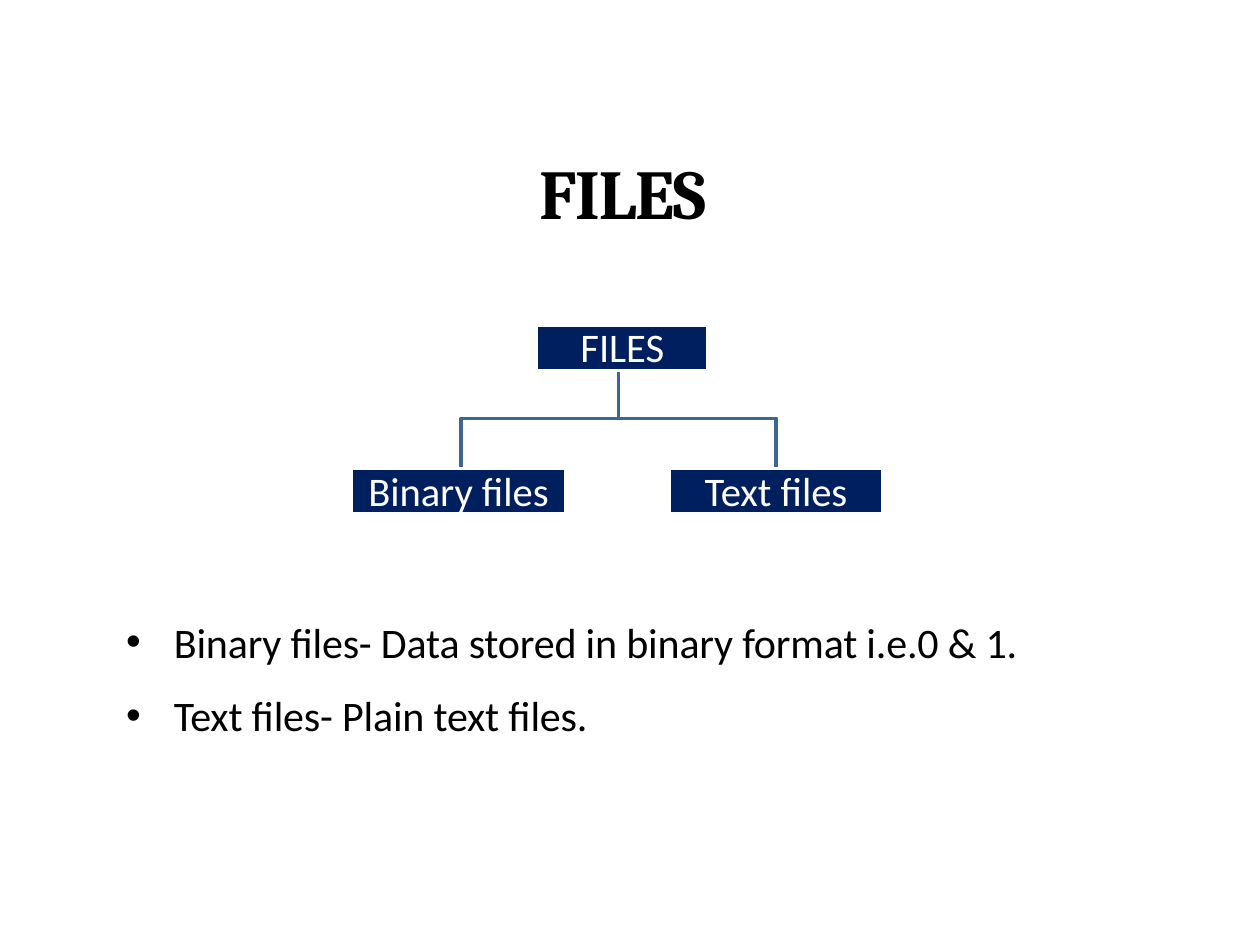
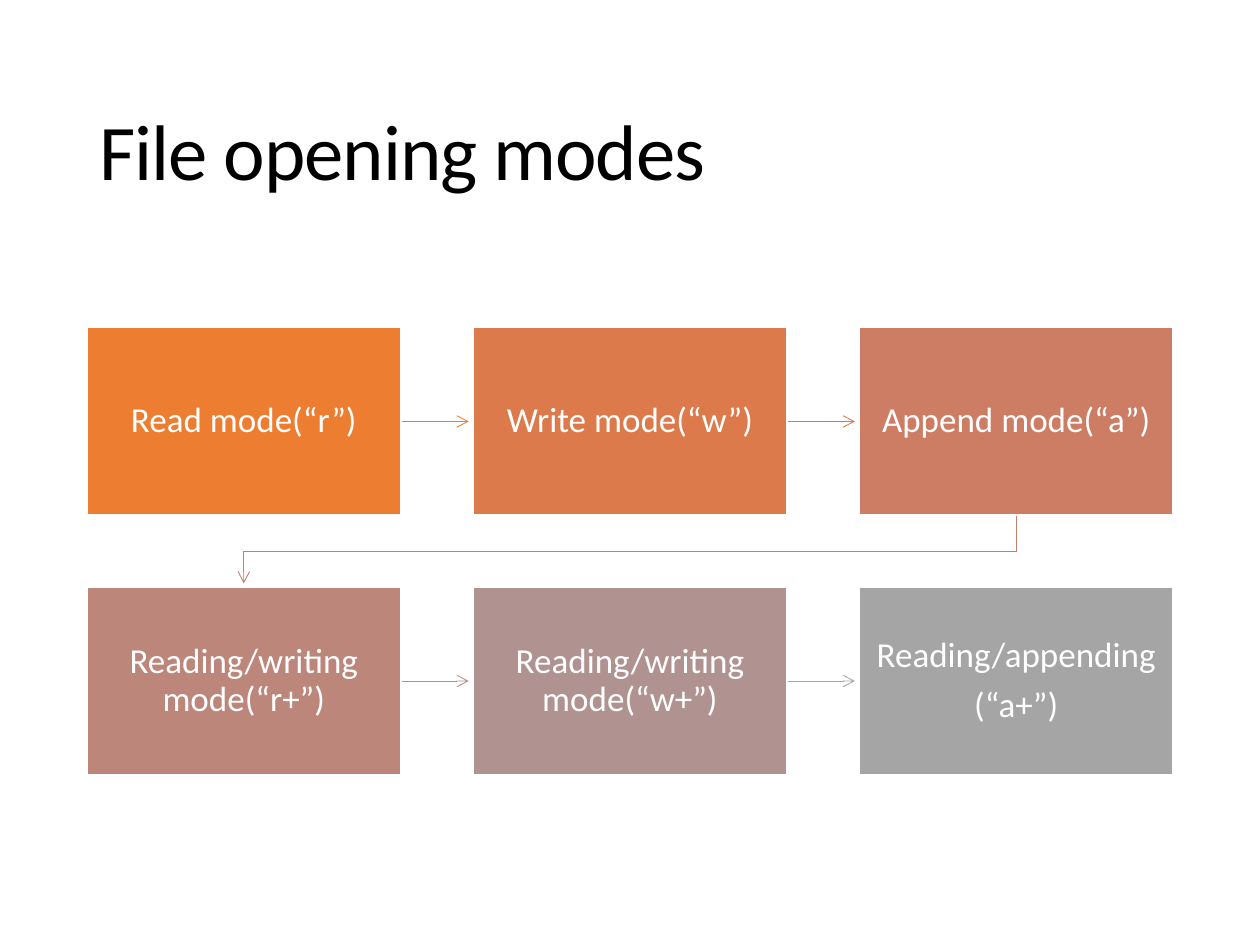
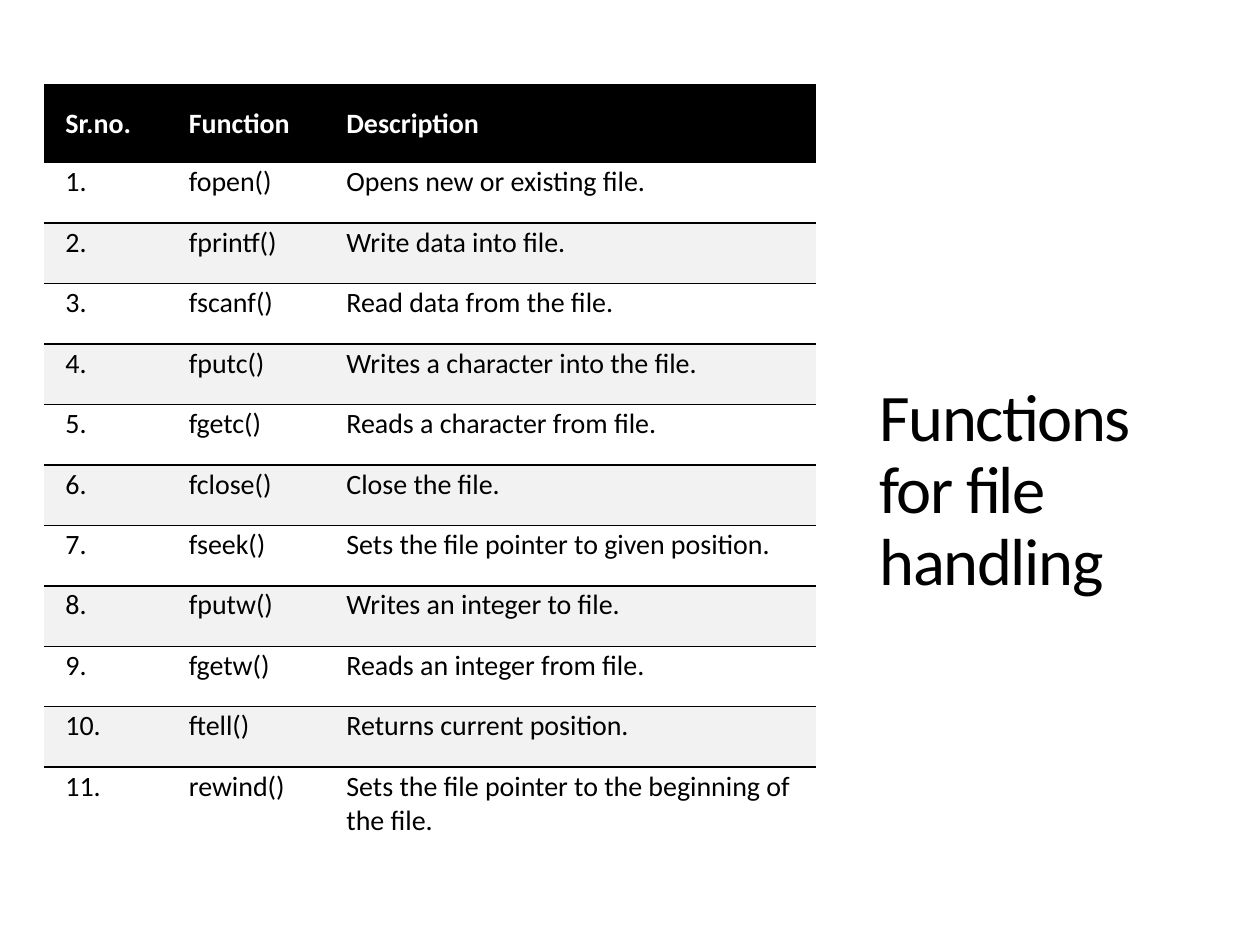
from pptx import Presentation
from pptx.dml.color import RGBColor
from pptx.enum import shapes, text
from pptx.oxml import ns, xmlchemy
from pptx.util import Inches, Pt

BLACK = RGBColor(0x00, 0x00, 0x00)
WHITE = RGBColor(0xFF, 0xFF, 0xFF)
NAVY = RGBColor(0x00, 0x1F, 0x5F)
TREE_LINE = RGBColor(0x3C, 0x66, 0x95)
BAND = RGBColor(0xF2, 0xF2, 0xF2)
NO_TABLE_STYLE = "{2D5ABB26-0587-4C30-8999-92F81FD0307C}"
TITLE_AND_BODY, TITLE_ONLY = 1, 5

LEFT, CENTER, JUSTIFY = text.PP_ALIGN.LEFT, text.PP_ALIGN.CENTER, text.PP_ALIGN.JUSTIFY
TOP, MIDDLE, BOTTOM = (text.MSO_ANCHOR.TOP, text.MSO_ANCHOR.MIDDLE,
                       text.MSO_ANCHOR.BOTTOM)

# Each mode: label paragraphs, box colour, colour of the arrow that leaves it
MODES = [
    (["Read mode(“r”)"], "ED7D31", "ED7D31"),
    (["Write mode(“w”)"], "DC7A4B", "D87A51"),
    (["Append mode(“a”)"], "CC7D64", "C48170"),
    (["Reading/writing mode(“r+”)"], "BD867B", "B4908B"),
    (["Reading/writing mode(“w+”)"], "B09391", "A5A5A5"),
    (["Reading/appending", "(“a+”)"], "A5A5A5", None),
]

FUNCTIONS = [
    ("fopen()", "Opens new or existing file."),
    ("fprintf()", "Write data into file."),
    ("fscanf()", "Read data from the file."),
    ("fputc()", "Writes a character into the file."),
    ("fgetc()", "Reads a character from file."),
    ("fclose()", "Close the file."),
    ("fseek()", "Sets the file pointer to given position."),
    ("fputw()", "Writes an integer to file."),
    ("fgetw()", "Reads an integer from file."),
    ("ftell()", "Returns current position."),
    ("rewind()", "Sets the file pointer to the beginning of the file."),
]


def apply(target, values):
    for attribute, value in values.items():
        setattr(target, attribute, value)


def place(shape, box):
    apply(shape, dict(zip(("left", "top", "width", "height"), map(Inches, box))))


def set_margins(target, margins):
    sides = ("margin_left", "margin_top", "margin_right", "margin_bottom")
    apply(target, dict(zip(sides, map(Inches, margins))))


def write(frame, lines, size, color, paragraph_format, bold=False, font="Calibri",
          tracking=0):
    """Fill a text frame with one paragraph per line; tracking is in points."""
    for index, line in enumerate(lines):
        paragraph = frame.paragraphs[0] if index == 0 else frame.add_paragraph()
        apply(paragraph, paragraph_format)
        run = paragraph.add_run()
        run.text = line
        apply(run.font, {"name": font, "size": Pt(size), "bold": bold})
        run.font.color.rgb = color
        if tracking:
            run._r.get_or_add_rPr().set("spc", str(round(tracking * 100)))


def add_title(slide, box, words, size, alignment=LEFT, anchor=MIDDLE, margins=None,
              **font_format):
    title = slide.shapes.title
    place(title, box)
    frame = title.text_frame
    apply(frame, {"word_wrap": True, "auto_size": text.MSO_AUTO_SIZE.NONE,
                  "vertical_anchor": anchor})
    if margins:
        set_margins(frame, margins)
    write(frame, [words], size, BLACK, {"alignment": alignment, "line_spacing": 0.9},
          **font_format)


def add_box(slide, box, lines, fill, line_width, size, margins, paragraph_format,
            anchor=MIDDLE):
    node = slide.shapes.add_shape(shapes.MSO_SHAPE.RECTANGLE, *map(Inches, box))
    node.shadow.inherit = False
    node.fill.solid()
    node.fill.fore_color.rgb = fill
    node.line.color.rgb = WHITE
    node.line.width = Pt(line_width)
    apply(node.text_frame, {"word_wrap": True, "vertical_anchor": anchor})
    set_margins(node.text_frame, margins)
    write(node.text_frame, lines, size, WHITE, paragraph_format)


def add_route(slide, points, color, width, arrow=False):
    """Draw a straight connector, or an open outline when the route bends."""
    start, *rest = [(Inches(x), Inches(y)) for x, y in points]
    if len(rest) == 1:
        route = slide.shapes.add_connector(shapes.MSO_CONNECTOR.STRAIGHT,
                                           *start, *rest[0])
    else:
        outline = slide.shapes.build_freeform(*start)
        outline.add_line_segments(rest, close=False)
        route = outline.convert_to_shape()
        route.fill.background()
    route.line.color.rgb = color
    route.line.width = Pt(width)
    properties = route.element.spPr
    if arrow:
        tail = xmlchemy.OxmlElement("a:tailEnd")
        tail.set("type", "arrow")
        properties.find(ns.qn("a:ln")).append(tail)
    properties.append(xmlchemy.OxmlElement("a:effectLst"))


def add_file_tree(slide, box):
    left, top, width, _ = box
    child_width, node_height, child_drop = 1.7, 0.36, 1.14
    trunk_x, trunk_top, fork_y = left + 2.12, top + 0.35, top + 0.74
    for side in (1, -1):
        branch_x = trunk_x + side * 1.25
        add_route(slide, [(trunk_x, trunk_top), (trunk_x, fork_y),
                          (branch_x, fork_y), (branch_x, top + child_drop)],
                  TREE_LINE, 2)
    nodes = [
        ("FILES", left + 1.47, top, 1.36),
        ("Binary files", left, top + child_drop, child_width),
        ("Text files", left + width - child_width, top + child_drop, child_width),
    ]
    for label, x, y, node_width in nodes:
        add_box(slide, (x, y, node_width, node_height), [label], NAVY, 2, 23.2,
                (0, 0, 0, 0), {"alignment": CENTER, "line_spacing": Pt(26)}, TOP)


def add_definitions(slide, box, lines):
    body = slide.placeholders[1]
    place(body, box)
    apply(body.text_frame, {"word_wrap": True, "vertical_anchor": TOP,
                            "auto_size": text.MSO_AUTO_SIZE.NONE})
    set_margins(body.text_frame, (0, 0.19, 0, 0))
    write(body.text_frame, lines, 24, BLACK,
          {"alignment": JUSTIFY, "space_before": Pt(13)}, tracking=-0.1)
    for paragraph in body.text_frame.paragraphs:
        indents = paragraph._p.get_or_add_pPr()
        indents.set("marL", str(Inches(0.38)))
        indents.set("indent", str(-Inches(0.38)))


def add_mode_flow(slide, box):
    """Lay the modes out in rows of three, each joined to the next by an arrow."""
    left, top, width, height = box
    columns, cell_width, cell_height, reach = 3, 2.49, 1.49, 0.54
    column_step = (width - cell_width) / (columns - 1)
    row_step = height - cell_height
    for index, (lines, fill, arrow_color) in enumerate(MODES):
        row, column = divmod(index, columns)
        x, y = left + column * column_step, top + row * row_step
        if arrow_color:
            if column < columns - 1:
                start_x, middle_y = x + cell_width, y + cell_height / 2
                points = [(start_x, middle_y), (start_x + reach, middle_y)]
            else:
                start_x, end_x = x + cell_width / 2, left + cell_width / 2
                start_y = y + cell_height
                turn_y = start_y + 0.29
                points = [(start_x, start_y), (start_x, turn_y),
                          (end_x, turn_y), (end_x, start_y + reach)]
            add_route(slide, points, RGBColor.from_string(arrow_color), 0.5, arrow=True)
        add_box(slide, (x, y, cell_width, cell_height), lines,
                RGBColor.from_string(fill), 1, 20, (0.12, 0.13, 0.12, 0.13),
                {"alignment": CENTER, "line_spacing": 0.9, "space_after": Pt(7)})


def add_top_border(cell):
    border = xmlchemy.OxmlElement("a:lnT")
    border.set("w", str(Pt(1)))
    fill = xmlchemy.OxmlElement("a:solidFill")
    color = xmlchemy.OxmlElement("a:srgbClr")
    color.set("val", str(BLACK))
    fill.append(color)
    border.append(fill)
    cell._tc.get_or_add_tcPr().insert(0, border)


def add_function_table(slide, box):
    rows = [("Sr.no.", "Function", "Description")]
    rows += [(f"{number}.", *entry) for number, entry in enumerate(FUNCTIONS, 1)]
    frame = slide.shapes.add_table(len(rows), 3, *map(Inches, box))
    next(frame.element.iter(ns.qn("a:tableStyleId"))).text = NO_TABLE_STYLE
    table = frame.table
    apply(table, {"first_row": False, "horz_banding": False})
    for column, width in zip(table.columns, (0.98, 1.25, 3.9)):
        column.width = Inches(width)
    heights = [0.62] + [0.48] * (len(rows) - 2) + [0.74]
    for index, (values, height) in enumerate(zip(rows, heights)):
        header, banded = index == 0, index > 0 and index % 2 == 0
        table.rows[index].height = Inches(height)
        for cell, value in zip(table.rows[index].cells, values):
            cell.vertical_anchor = MIDDLE if header else TOP
            set_margins(cell, (0.17, 0.1 if header else 0.02, 0.05, 0.1))
            write(cell.text_frame, [value], 16, WHITE if header else BLACK,
                  {"space_before": Pt(2.5)}, bold=header)
            if header or banded:
                cell.fill.solid()
                cell.fill.fore_color.rgb = BLACK if header else BAND
            else:
                cell.fill.background()
            if banded:
                add_top_border(cell)


def build_files_slide(slide):
    add_title(slide, (3.55, 1.25, 2.78, 0.62), "FILES", 40, CENTER,
              margins=(0, 0.01, 0, 0), bold=True, font="Cambria", tracking=-0.8)
    add_file_tree(slide, (2.79, 2.58, 4.22, 1.5))
    add_definitions(slide, (1, 4.7, 7.5, 1.18), [
        "Binary files- Data stored in binary format i.e.0 & 1.",
        "Text files- Plain text files.",
    ])


def build_modes_slide(slide):
    add_title(slide, (0.69, 0.61, 8.62, 1.24), "File opening modes", 45, tracking=-0.6)
    add_mode_flow(slide, (0.69, 2.6, 8.62, 3.55))


def build_functions_slide(slide):
    add_title(slide, (6.88, 1.36, 2.59, 3.45), "Functions for file handling", 38,
              anchor=BOTTOM, tracking=-0.8)
    add_function_table(slide, (0.35, 0.67, 6.13, 6.16))


def main():
    deck = Presentation()
    apply(deck, {"slide_width": Inches(10), "slide_height": Inches(7.5)})
    for layout, build in ((TITLE_AND_BODY, build_files_slide),
                          (TITLE_ONLY, build_modes_slide),
                          (TITLE_ONLY, build_functions_slide)):
        build(deck.slides.add_slide(deck.slide_layouts[layout]))
    deck.save("out.pptx")


if __name__ == "__main__":
    main()
